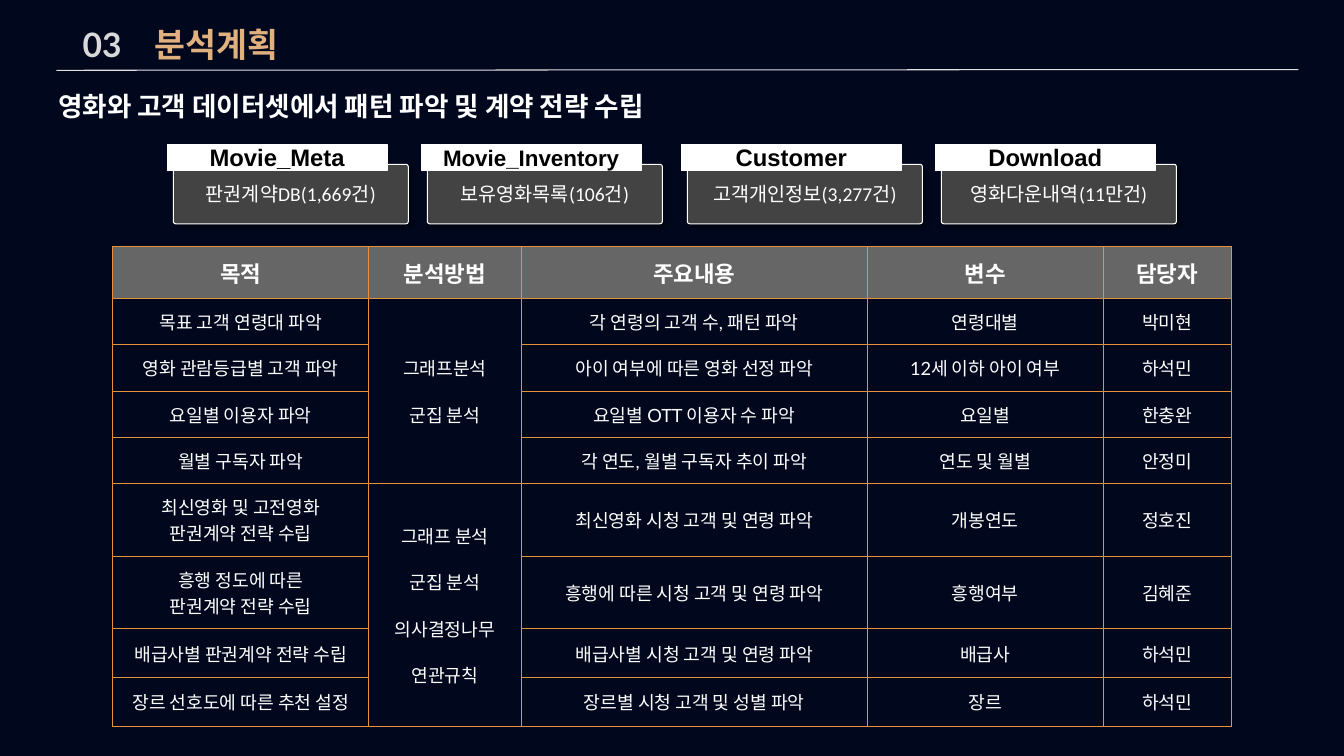
from dataclasses import dataclass
from typing import NamedTuple

from lxml.etree import SubElement
from pptx import Presentation
from pptx.dml.color import RGBColor
from pptx.enum.shapes import MSO_CONNECTOR as Connector, MSO_SHAPE as Preset
from pptx.enum.text import MSO_ANCHOR as Anchor, MSO_AUTO_SIZE as AutoSize, PP_ALIGN as Align
from pptx.oxml import parse_xml
from pptx.oxml.ns import nsdecls, qn
from pptx.util import Inches, Pt

WIDTH, HEIGHT = Inches(40 / 3), Inches(7.5)


@dataclass(frozen=True)
class Theme:
    background: str = "01081D"
    white: str = "FFFFFF"
    black: str = "000000"
    number: str = "D8D8D8"
    gold: str = "E0B07E"
    rule: str = "E1E1E2"
    card: str = "434343"
    header: str = "666666"
    border: str = "E69138"
    line: float = 0.75
    title_size: int = 24
    subtitle_size: int = 19
    card_size: int = 14
    header_size: int = 16
    body_size: int = 13
    method_gap: float = 14.6


THEME = Theme()


class Box(NamedTuple):
    """Left, top, width and height in percent of the slide."""
    left: float
    top: float
    width: float
    height: float

    def lengths(self) -> tuple:
        return across(self.left), down(self.top), across(self.width), down(self.height)


class Dataset(NamedTuple):
    name: str
    contents: str
    name_size: int = 17


class Plan(NamedTuple):
    purpose: str
    content: str
    variable: str
    owner: str


class Method(NamedTuple):
    first_row: int
    last_row: int
    steps: str


DATASETS = [
    Dataset("Movie_Meta", "판권계약DB(1,669건)"),
    Dataset("Movie_Inventory", "보유영화목록(106건)", 16),
    Dataset("Customer", "고객개인정보(3,277건)"),
    Dataset("Download", "영화다운내역(11만건)"),
]
HEADERS = ["목적", "분석방법", "주요내용", "변수", "담당자"]
PLANS = [
    Plan("목표 고객 연령대 파악", "각 연령의 고객 수, 패턴 파악", "연령대별", "박미현"),
    Plan("영화 관람등급별 고객 파악", "아이 여부에 따른 영화 선정 파악", "12세 이하 아이 여부", "하석민"),
    Plan("요일별 이용자 파악", "요일별 OTT 이용자 수 파악", "요일별", "한충완"),
    Plan("월별 구독자 파악", "각 연도, 월별 구독자 추이 파악", "연도 및 월별", "안정미"),
    Plan("최신영화 및 고전영화\n판권계약 전략 수립", "최신영화 시청 고객 및 연령 파악", "개봉연도", "정호진"),
    Plan("흥행 정도에 따른\n판권계약 전략 수립", "흥행에 따른 시청 고객 및 연령 파악", "흥행여부", "김혜준"),
    Plan("배급사별 판권계약 전략 수립", "배급사별 시청 고객 및 연령 파악", "배급사", "하석민"),
    Plan("장르 선호도에 따른 추천 설정", "장르별 시청 고객 및 성별 파악", "장르", "하석민"),
]
METHODS = [
    Method(1, 4, "그래프분석\n군집 분석"),
    Method(5, 8, "그래프 분석\n군집 분석\n의사결정나무\n연관규칙"),
]
COLUMN_WIDTHS = [19.05, 11.35, 25.75, 17.55, 9.55]
ROW_HEIGHTS = [6.88] + [6.13] * 4 + [9.6] * 2 + [6.46] * 2


def across(percent: float) -> int:
    return round(WIDTH * percent / 100)


def down(percent: float) -> int:
    return round(HEIGHT * percent / 100)


def rgb(color: str) -> RGBColor:
    return RGBColor.from_string(color)


def write(frame, text: str, font: str, size: float, color: str,
          bold: bool = False, align=Align.CENTER, gap: float = 0) -> None:
    frame.word_wrap = True
    frame.text = text
    for index, paragraph in enumerate(frame.paragraphs):
        paragraph.alignment = align
        if gap and index:
            paragraph.space_before = Pt(gap)
        paragraph.font.name = font
        paragraph.font.size = Pt(size)
        paragraph.font.bold = bold
        paragraph.font.color.rgb = rgb(color)


def add_block(slide, preset, box: Box, fill: str):
    shape = slide.shapes.add_shape(preset, *box.lengths())
    shape.shadow.inherit = False
    shape.fill.solid()
    shape.fill.fore_color.rgb = rgb(fill)
    shape.line.color.rgb = rgb(THEME.white)
    shape.line.width = Pt(THEME.line)
    shape.text_frame.vertical_anchor = Anchor.MIDDLE
    return shape


def add_title(slide) -> None:
    title = slide.shapes.title
    title.left, title.top, title.width, title.height = Box(5.4, 2.53, 28.8, 6.67).lengths()
    frame = title.text_frame
    frame.auto_size = AutoSize.NONE
    frame.vertical_anchor = Anchor.MIDDLE
    paragraph = frame.paragraphs[0]
    tabs = SubElement(paragraph._p.get_or_add_pPr(), qn("a:tabLst"))
    SubElement(tabs, qn("a:tab"), pos=str(across(5.33)), algn="l")
    paragraph.alignment = Align.LEFT
    paragraph.font.name = "Lato"
    paragraph.font.size = Pt(THEME.title_size)
    paragraph.font.bold = True
    for text, color in (("03\t", THEME.number), ("분석계획", THEME.gold)):
        run = paragraph.add_run()
        run.text = text
        run.font.color.rgb = rgb(color)

    rule = slide.shapes.add_connector(
        Connector.STRAIGHT, across(4.2), down(9.3), across(96.6), down(9.2))
    rule.line.color.rgb = rgb(THEME.rule)
    rule.line.width = Pt(THEME.line)
    SubElement(rule._element.spPr, qn("a:effectLst"))


def add_subtitle(slide) -> None:
    frame = slide.shapes.add_textbox(*Box(3.6, 10.53, 81.68, 7.2).lengths()).text_frame
    frame.margin_top = frame.margin_bottom = Inches(0.1)
    write(frame, "영화와 고객 데이터셋에서 패턴 파악 및 계약 전략 수립", "Calibri",
          THEME.subtitle_size, THEME.white, True, Align.LEFT)


def add_dataset(slide, index: int, dataset: Dataset) -> None:
    pair, member = divmod(index, 2)
    left = 12.45 + 38.25 * pair + 18.9 * member
    card = add_block(slide, Preset.ROUNDED_RECTANGLE, Box(left + 0.45, 21.73, 17.48, 7.87), THEME.card)
    card.adjustments[0] = 0.04
    effects = card._element.spPr.find(qn("a:effectLst"))
    effects.append(parse_xml(
        f'<a:outerShdw {nsdecls("a")} blurRad="{Pt(4)}" dist="{Pt(3)}" dir="2700000">'
        f'<a:srgbClr val="{THEME.black}"><a:alpha val="40000"/></a:srgbClr></a:outerShdw>'))
    write(card.text_frame, dataset.contents, "Calibri", THEME.card_size, THEME.white)

    tag = add_block(slide, Preset.RECTANGLE, Box(left, 19.07, 16.35, 3.47), THEME.white)
    tag.text_frame.margin_top = tag.text_frame.margin_bottom = Inches(0.1)
    write(tag.text_frame, dataset.name, "Arial", dataset.name_size, THEME.black, True)


def format_cell(cell) -> None:
    cell.vertical_anchor = Anchor.MIDDLE
    properties = cell._tc.get_or_add_tcPr()
    for side in ("lnL", "lnR", "lnT", "lnB"):
        border = SubElement(properties, qn(f"a:{side}"), w=str(Pt(THEME.line)))
        SubElement(SubElement(border, qn("a:solidFill")), qn("a:srgbClr"), val=THEME.border)
    cell.fill.background()


def add_plan_table(slide) -> None:
    box = Box(8.38, 32.6, sum(COLUMN_WIDTHS), sum(ROW_HEIGHTS))
    table = slide.shapes.add_table(len(ROW_HEIGHTS), len(COLUMN_WIDTHS), *box.lengths()).table
    table.horz_banding = False
    for column, width in zip(table.columns, COLUMN_WIDTHS):
        column.width = across(width)
    for row, height in zip(table.rows, ROW_HEIGHTS):
        row.height = down(height)
    for cell in table.iter_cells():
        format_cell(cell)
    for column, header in enumerate(HEADERS):
        cell = table.cell(0, column)
        cell.fill.solid()
        cell.fill.fore_color.rgb = rgb(THEME.header)
        write(cell.text_frame, header, "Lato", THEME.header_size, THEME.white, True)
    for row, plan in enumerate(PLANS, 1):
        for column, text in zip((0, 2, 3, 4), plan):
            write(table.cell(row, column).text_frame, text, "Lato", THEME.body_size, THEME.white)
    for method in METHODS:
        cell = table.cell(method.first_row, 1)
        cell.merge(table.cell(method.last_row, 1))
        write(cell.text_frame, method.steps, "Lato", THEME.body_size, THEME.white, gap=THEME.method_gap)


def main() -> None:
    presentation = Presentation()
    presentation.slide_width, presentation.slide_height = WIDTH, HEIGHT
    slide = presentation.slides.add_slide(presentation.slide_layouts[5])
    slide.background.fill.solid()
    slide.background.fill.fore_color.rgb = rgb(THEME.background)
    # Heading
    add_title(slide)
    add_subtitle(slide)
    # Datasets
    for index, dataset in enumerate(DATASETS):
        add_dataset(slide, index, dataset)
    # Analysis plan
    add_plan_table(slide)
    presentation.save("out.pptx")


if __name__ == "__main__":
    main()
